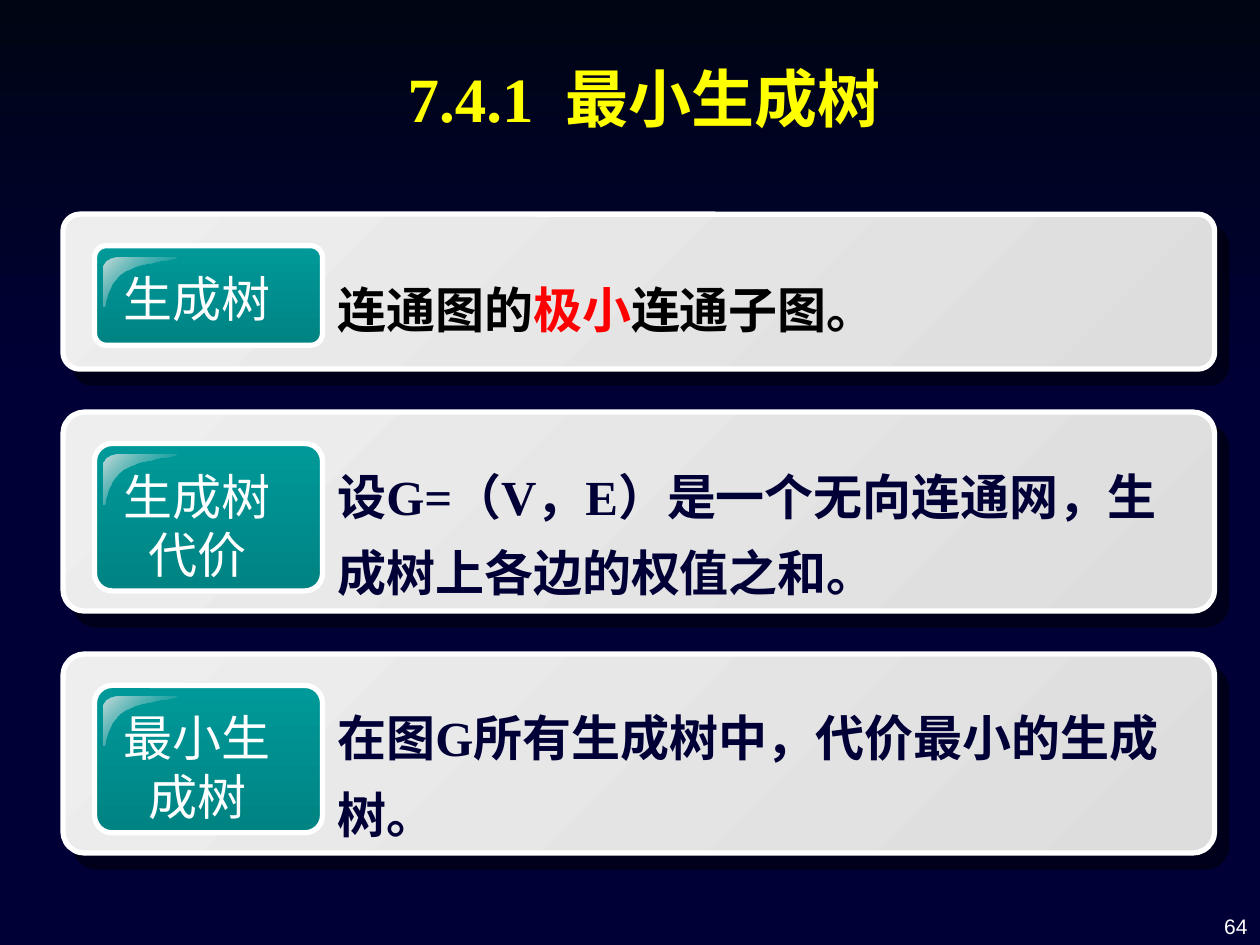
from lxml import etree
from pptx import Presentation
from pptx.dml.color import RGBColor
from pptx.enum.shapes import MSO_SHAPE
from pptx.enum.text import MSO_ANCHOR, MSO_AUTO_SIZE, PP_ALIGN
from pptx.oxml.ns import qn
from pptx.util import Inches, Pt

RECT, ROUND = MSO_SHAPE.RECTANGLE, MSO_SHAPE.ROUNDED_RECTANGLE
LEFT, CENTER, RIGHT = PP_ALIGN.LEFT, PP_ALIGN.CENTER, PP_ALIGN.RIGHT
TOP, BOTTOM = MSO_ANCHOR.TOP, MSO_ANCHOR.BOTTOM
GROW, FIXED = MSO_AUTO_SIZE.SHAPE_TO_FIT_TEXT, MSO_AUTO_SIZE.NONE
SANS, SERIF = "Arial", "Times New Roman"
COLORS = {
    "navy": "000036", "night": "000514", "yellow": "FFFF00",
    "white": "FFFFFF", "black": "000000", "red": "FF0000",
    "card_light": "EEEEEE", "card_dark": "DDDDDD",
    "teal": "009999", "teal_dark": "008383", "gloss": "C9DBDB",
}
CARD_LEFT, CARD_WIDTH, CARD_GAP = 0.5, 9.14, 0.34
ROWS = [
    (1.23, 0.79, 0.33, "生成树",
     [("连通图的", "black"), ("极小", "red"), ("连通子图。", "black")]),
    (1.58, 1.17, 0.24, "生成树代价",
     [("设G=（V，E）是一个无向连通网，生成树上各边的权值之和。", "navy")]),
    (1.58, 1.17, 0.24, "最小生成树",
     [("在图G所有生成树中，代价最小的生成树。", "navy")]),
]


def rgb(name):
    return RGBColor.from_string(COLORS[name])


def bezier(p0, p1, p2, p3, steps=12):
    points = []
    for i in range(1, steps + 1):
        t = i / steps
        weights = ((1 - t) ** 3, 3 * t * (1 - t) ** 2, 3 * t * t * (1 - t), t ** 3)
        points.append(tuple(sum(w * p[axis] for w, p in zip(weights, (p0, p1, p2, p3)))
                            for axis in (0, 1)))
    return points


class SlideBuilder:
    def __init__(self, slide):
        self.slide = slide
        self.shapes = slide.shapes

    def background(self, color):
        fill = self.slide.background.fill
        fill.solid()
        fill.fore_color.rgb = rgb(color)

    def start_group(self):
        self.shapes = self.slide.shapes.add_group_shape().shapes

    def gradient(self, sp, colors, angle):
        sp.shadow.inherit = False
        sp.line.fill.background()
        sp.fill.gradient()
        sp.fill.gradient_angle = 360 - angle
        for stop, color in zip(sp.fill.gradient_stops, colors):
            stop.color.rgb = rgb(color)

    def box(self, kind, x, y, w, h, colors, angle, corner=None):
        sp = self.shapes.add_shape(kind, Inches(x), Inches(y), Inches(w), Inches(h))
        self.gradient(sp, colors, angle)
        if corner:
            sp.adjustments[0] = corner
            sp.line.color.rgb = rgb("white")
            sp.line.width = Pt(3)
        return sp

    def drop_shadow(self, sp):
        effects = sp.element.spPr.find(qn("a:effectLst"))
        shadow = etree.SubElement(effects, qn("a:outerShdw"), dist=str(Pt(10.6)),
                                  dir=str(49 * 60000), algn="ctr", rotWithShape="0")
        color = etree.SubElement(shadow, qn("a:srgbClr"), val=COLORS["black"])
        etree.SubElement(color, qn("a:alpha"), val="50000")

    def gloss(self, x, y):
        points = [(0.12, 0)]
        points += bezier((0.12, 0), (0.05, 0), (0, 0.04), (0, 0.08))
        points.append((0, 0.39))
        points += bezier((0, 0.39), (0.03, 0.4), (0.01, 0.21), (0.16, 0.12))
        points += bezier((0.16, 0.12), (0.3, 0.03), (0.59, 0.02), (0.58, 0))
        outline = [(Inches(x + dx), Inches(y + dy)) for dx, dy in points]
        builder = self.shapes.build_freeform(*outline[0])
        builder.add_line_segments(outline[1:], close=True)
        sp = builder.convert_to_shape()
        self.gradient(sp, ("gloss", "teal"), 45)
        end = sp.element.spPr.findall(".//" + qn("a:srgbClr"))[-1]
        etree.SubElement(end, qn("a:alpha"), val="0")

    def text(self, x, y, w, h, runs, size, font, align=LEFT, bold=False,
             spacing=None, anchor=TOP, fit=GROW):
        sp = self.shapes.add_textbox(Inches(x), Inches(y), Inches(w), Inches(h))
        tf = sp.text_frame
        tf.word_wrap = True
        tf.auto_size = fit
        tf.vertical_anchor = anchor
        p = tf.paragraphs[0]
        p.alignment = align
        p.line_spacing = spacing
        p.font.size = Pt(size)
        p.font.name = font
        p.font.bold = bold
        for content, color in runs:
            r = p.add_run()
            r.text = content
            r.font.color.rgb = rgb(color)

    def card(self, y, height, badge_height, text_offset, label, runs):
        self.start_group()
        panel = self.box(ROUND, CARD_LEFT, y, CARD_WIDTH, height,
                         ("card_light", "card_dark"), 45, 0.109)
        self.drop_shadow(panel)
        self.box(ROUND, 0.75, y + 0.25, 1.81, badge_height,
                 ("teal", "teal_dark"), 90, 0.119)
        self.gloss(0.82, y + 0.34)
        self.text(0.74, y + 0.38, 1.65, badge_height - 0.2,
                  [(label, "white")], 28, SANS, CENTER)
        self.text(2.58, y + text_offset, 6.75, height - 0.4,
                  runs, 28, SERIF, bold=True, spacing=1.3)


def main():
    prs = Presentation()
    prs.slide_width, prs.slide_height = Inches(10), Inches(7.5)
    s = SlideBuilder(prs.slides.add_slide(prs.slide_layouts[6]))
    s.background("navy")
    s.box(RECT, 0, 0, 10, 3.08, ("night", "navy"), 90)
    s.text(7.67, 6.98, 2.33, 0.52, [("64", "white")], 12, SANS, RIGHT,
           anchor=BOTTOM, fit=FIXED)
    s.text(1.92, 0.42, 6.38, 0.7, [("7.4.1  最小生成树", "yellow")], 36, SERIF,
           CENTER, bold=True)
    y = 1.7
    for height, *details in ROWS:
        s.card(y, height, *details)
        y += height + CARD_GAP
    prs.save("out.pptx")


if __name__ == "__main__":
    main()
